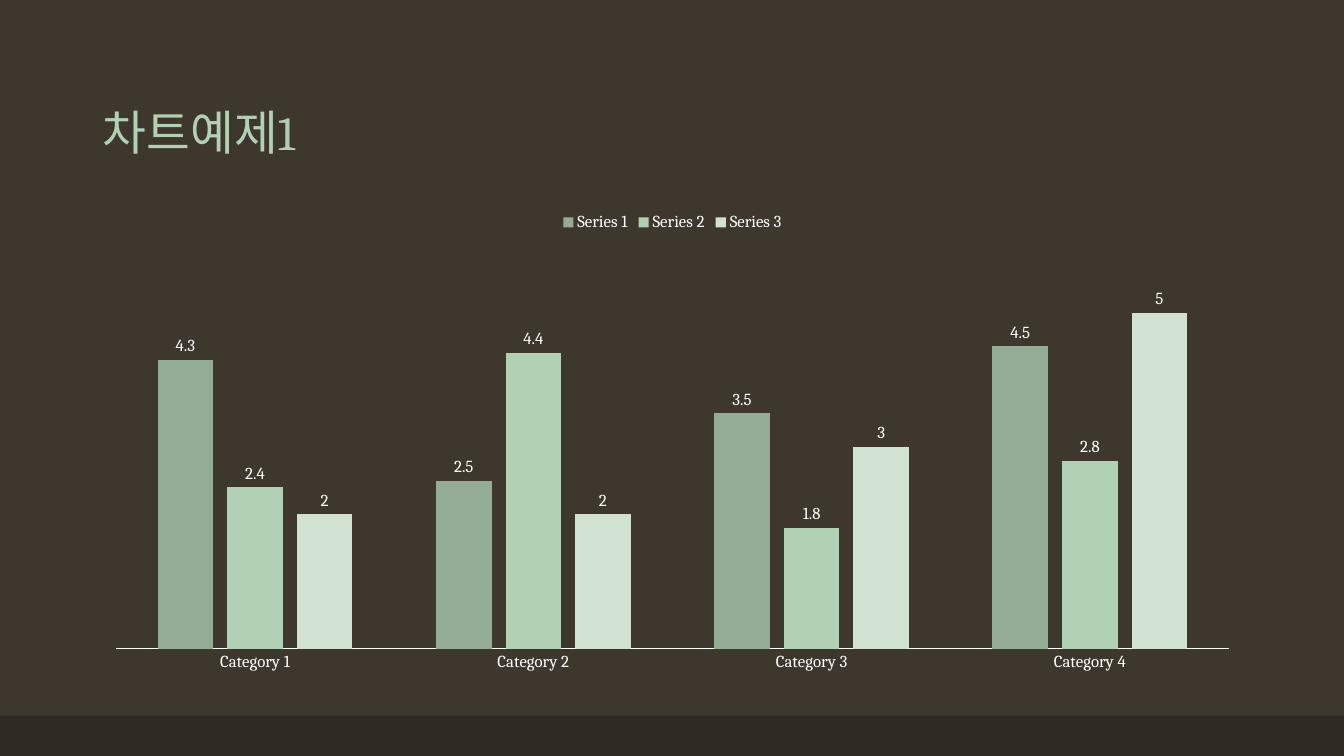
from pptx import Presentation
from pptx.chart.data import CategoryChartData
from pptx.dml.color import RGBColor
from pptx.enum import chart as ch, shapes, text
from pptx.util import Inches, Pt

COLORS = {
    "back": "3D372E",
    "strip": "2E2923",
    "title": "B2D0B4",
    "text": "FFFFFF",
}
FACE = "Cambria"
GROUPS = ["Category 1", "Category 2", "Category 3", "Category 4"]
SERIES = [
    ("Series 1", (4.3, 2.5, 3.5, 4.5), "94AC95"),
    ("Series 2", (2.4, 4.4, 1.8, 2.8), "B2D0B4"),
    ("Series 3", (2, 2, 3, 5), "D1E2D2"),
]


def paint(fill, color):
    fill.solid()
    fill.fore_color.rgb = RGBColor.from_string(color)


def style(font, size, color):
    font.name = FACE
    font.size = Pt(size)
    font.color.rgb = RGBColor.from_string(color)


def add_strip(slide, left, top, width, height):
    strip = slide.shapes.add_shape(
        shapes.MSO_SHAPE.RECTANGLE,
        Inches(left), Inches(top), Inches(width), Inches(height))
    strip.shadow.inherit = False
    paint(strip.fill, COLORS["strip"])
    strip.line.fill.background()


def set_title(slide, words, left, top, width, height):
    title = slide.shapes.title
    title.left, title.top = Inches(left), Inches(top)
    title.width, title.height = Inches(width), Inches(height)
    frame = title.text_frame
    frame.text = words
    frame.word_wrap = True
    frame.auto_size = text.MSO_AUTO_SIZE.NONE
    frame.vertical_anchor = text.MSO_ANCHOR.BOTTOM
    para = frame.paragraphs[0]
    para.alignment = text.PP_ALIGN.LEFT
    para.line_spacing = 0.9
    style(para.font, 34, COLORS["title"])


def format_axes(chart):
    axis = chart.category_axis
    axis.major_tick_mark = ch.XL_TICK_MARK.NONE
    axis.minor_tick_mark = ch.XL_TICK_MARK.NONE
    axis.has_major_gridlines = False
    paint(axis.format.line.fill, COLORS["text"])
    axis.format.line.width = Pt(0.75)
    style(axis.tick_labels.font, 12, COLORS["text"])
    chart.value_axis.visible = False
    chart.value_axis.has_major_gridlines = False
    chart.value_axis.minimum_scale = 0
    chart.value_axis.maximum_scale = 6


def add_columns(slide, left, top, width, height):
    data = CategoryChartData()
    data.categories = GROUPS
    for name, values, _ in SERIES:
        data.add_series(name, values)
    chart = slide.shapes.add_chart(
        ch.XL_CHART_TYPE.COLUMN_CLUSTERED,
        Inches(left), Inches(top), Inches(width), Inches(height), data).chart
    chart.has_title = False
    style(chart.font, 10, COLORS["text"])
    format_axes(chart)

    chart.has_legend = True
    chart.legend.position = ch.XL_LEGEND_POSITION.TOP
    chart.legend.include_in_layout = False
    style(chart.legend.font, 12, COLORS["text"])

    plot = chart.plots[0]
    plot.gap_width = 150
    plot.overlap = -25
    plot.vary_by_categories = False
    for series, (_, _, color) in zip(plot.series, SERIES):
        paint(series.format.fill, color)
        labels = series.data_labels
        labels.show_value = True
        labels.position = ch.XL_LABEL_POSITION.OUTSIDE_END
        style(labels.font, 12, COLORS["text"])


def main():
    deck = Presentation()
    deck.slide_width, deck.slide_height = Inches(13.33), Inches(7.5)
    slide = deck.slides.add_slide(deck.slide_layouts[5])
    paint(slide.background.fill, COLORS["back"])
    add_strip(slide, 0, 7.1, 13.33, 0.4)
    set_title(slide, "차트예제1", 0.92, 0.4, 11.5, 1.25)
    add_columns(slide, 0.92, 2, 11.5, 4.76)
    deck.save("out.pptx")


if __name__ == "__main__":
    main()
